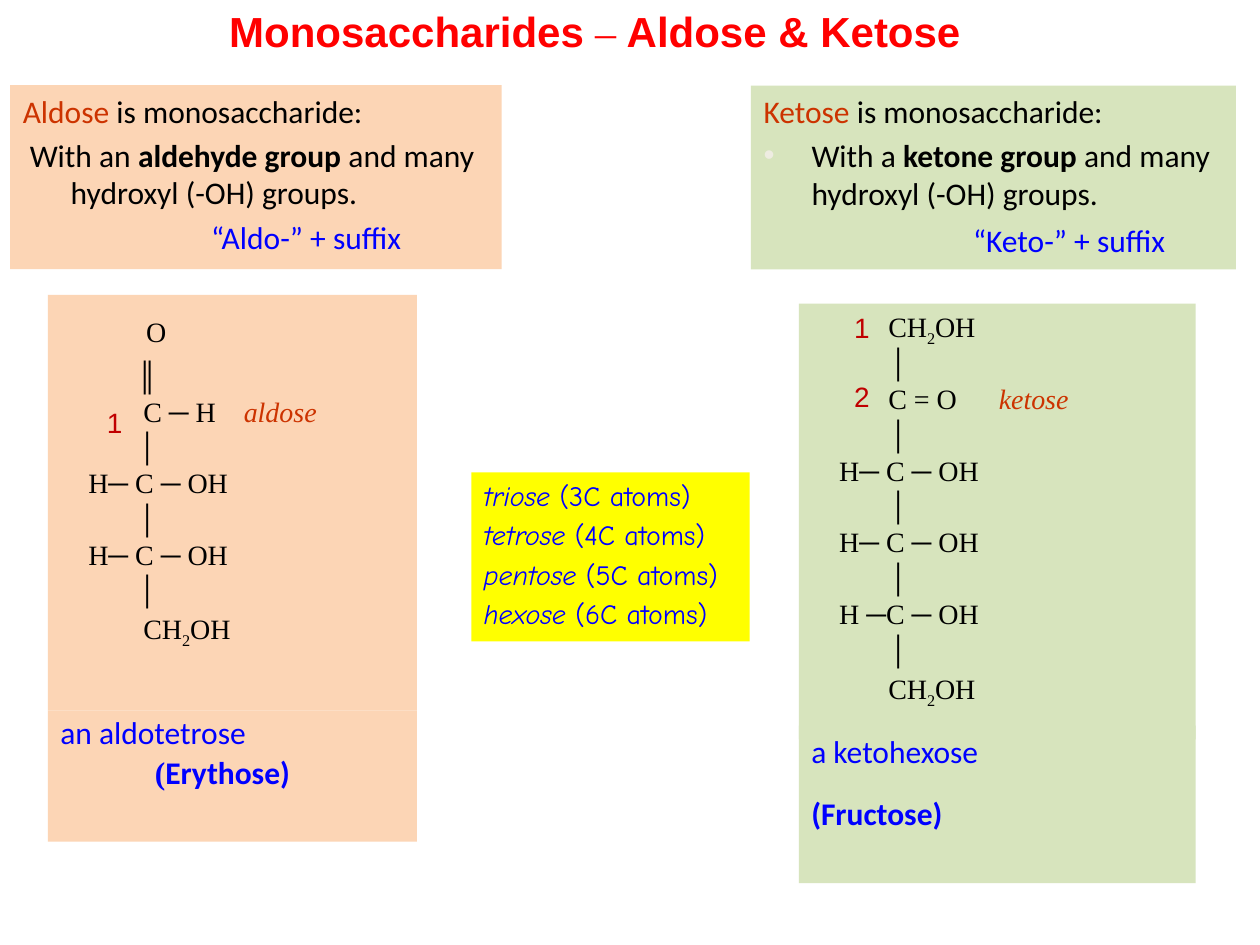
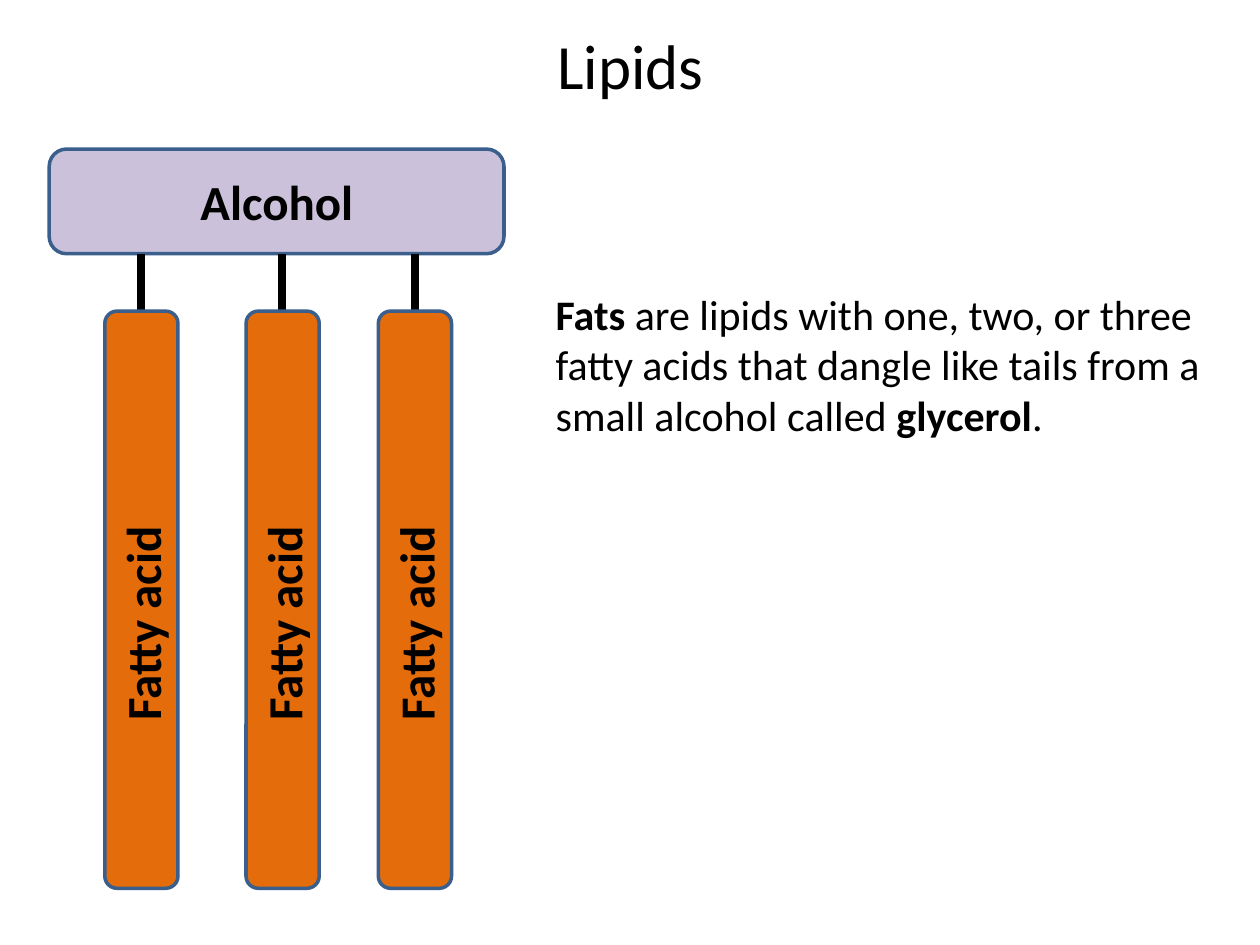
"""Build two biochemistry slides: aldose and ketose sugars, then lipids."""
from lxml.etree import SubElement
from pptx import Presentation
from pptx.dml.color import RGBColor
from pptx.enum.shapes import MSO_CONNECTOR, MSO_SHAPE
from pptx.enum.text import MSO_ANCHOR, MSO_AUTO_SIZE, PP_ALIGN
from pptx.oxml.ns import qn
from pptx.util import Pt

HUES = {
    "ink": "000000", "red": "FF0000", "rust": "CC3300", "dark": "C00000",
    "blue": "0000FF", "peach": "FCD5B5", "green": "D7E4BD", "gold": "FFFF00",
    "lilac": "CCC1DA", "orange": "E46C0A", "edge": "3A5F8C", "pale": "EEECE1",
}
SERIF = "Times New Roman"
STYLES = {
    "head": ("Arial", 24, "red", "b"),
    "dash": (SERIF, 24, "red", ""),
    "term": ("Calibri", 18, "rust", ""),
    "note": ("Calibri", 18, "ink", ""),
    "bold": ("Calibri", 18, "ink", "b"),
    "name": ("Calibri", 18, "blue", ""),
    "strong": ("Calibri", 18, "blue", "b"),
    "paren": (SERIF, 18, "blue", "b"),
    "atom": (SERIF, 16, "ink", ""),
    "sub": (SERIF, 16, "ink", "s"),
    "kind": (SERIF, 16, "rust", "i"),
    "mark": ("Arial", 16, "dark", ""),
    "size": ("Comic Neue", 16, "blue", ""),
    "root": ("Comic Neue", 16, "blue", "i"),
    "top": ("Calibri", 36, "ink", ""),
    "part": ("Calibri", 28, "ink", "b"),
    "text": ("Calibri", 24, "ink", ""),
    "key": ("Calibri", 24, "ink", "b"),
}
GAPS = {"near": 12, "far": 20}
STYLES.update({gap: STYLES["atom"] for gap in GAPS})

SUGAR = [("Monosaccharides ", "head"), ("–", "dash"), (" Aldose & Ketose", "head")]
HANG = {"left": 27.4, "first": -27.4}
ALDOSE = [
    ([("Aldose", "term"), (" is monosaccharide:", "note")], HANG),
    ([("With an ", "note"), ("aldehyde group ", "bold"),
      ("and many hydroxyl (-OH) groups.", "note")],
     {"left": 27.4, "first": -23.4, "before": 3.6}),
    ([("“Aldo-” + suffix", "name")], {"left": 107.7, "before": 3.6}),
]
KETOSE = [
    ([("Ketose", "term"), (" is monosaccharide:", "note")], {**HANG, "after": 1.8}),
    ([("With a ", "note"), ("ketone group ", "bold"),
      ("and many hydroxyl (-OH) groups.", "note")],
     {**HANG, "before": 1.8, "after": 1.8, "bullet": "pale"}),
    ([("“Keto-” + suffix", "name")], {"left": 119.7, "before": 3.6}),
]
BAR = (44, [("│", "atom")])
LINK = (16, [("H─ C ─ OH", "atom")])
TAIL = [("CH", "atom"), ("2", "sub"), ("OH", "atom")]
FOUR = [
    (49, [("O", "atom")]),
    (44, [("║", "atom")]),
    (47.4, [("C ─ H", "atom"), (" ", "near"), ("aldose", "kind")]),
    BAR, LINK, BAR, LINK, BAR, (47.4, TAIL),
]
SIX = [
    (44, TAIL), BAR,
    (44, [("C = O", "atom"), (" ", "far"), ("ketose", "kind")]),
    BAR, LINK, BAR, LINK, BAR, (16, [("H ─C ─ OH", "atom")]), BAR, (44, TAIL),
]
CHAINS = [
    ((27.4, 168.5, 210.9, 237.6), "peach", FOUR, 13.6, 6),
    ((456.5, 173.5, 226.8, 249.1), "green", SIX, 3.6, 1.6),
]
MARKS = [
    ("1", (54, 228.2, 23.8, 25.2), "peach"),
    ("1", (481, 174.2, 25.9, 26.6), "green"),
    ("2", (481, 213.1, 25.9, 26.6), "green"),
]
NAMES = [
    ((27.4, 406.1, 210.9, 74.9), "peach", [
        ([("an aldotetrose", "name")], {"line": 0.9, "after": 1.8}),
        ([("(", "paren"), ("Erythose)", "strong")],
         {"line": 0.9, "left": 54, "before": 1.8})]),
    ((456.5, 414.7, 226.8, 90), "green", [
        ([("a ketohexose", "name")], {}),
        ([("(Fructose)", "strong")], {"before": 13.8})]),
]
COUNTS = [("triose", 3), ("tetrose", 4), ("pentose", 5), ("hexose", 6)]
FATS = [("Fats ", "key"),
        ("are lipids with one, two, or three fatty acids that dangle like tails "
         "from a small alcohol called ", "text"),
        ("glycerol", "key"), (".", "text")]
ACIDS = [80.6, 161.3, 236.9]


def hue(name):
    return RGBColor.from_string(HUES[name])


def style(run, kind):
    face, size, tint, flags = STYLES[kind]
    font = run.font
    font.name, font.size = face, Pt(size)
    font.bold, font.italic = "b" in flags, "i" in flags
    font.color.rgb = hue(tint)
    if "s" in flags:
        font._element.set("baseline", "-25000")
    if kind in GAPS:
        font._element.set("spc", str(GAPS[kind] * 100))


def write(shape, paras, align=PP_ALIGN.LEFT, inset=3.6, wrap=True):
    frame = shape.text_frame
    frame.word_wrap, frame.auto_size = wrap, MSO_AUTO_SIZE.NONE
    frame.vertical_anchor = MSO_ANCHOR.TOP
    frame.margin_left = frame.margin_right = Pt(7.2)
    frame.margin_top, frame.margin_bottom = Pt(inset), Pt(3.6)
    for num, (runs, opts) in enumerate(paras):
        para = frame.add_paragraph() if num else frame.paragraphs[0]
        props = para._p.get_or_add_pPr()
        props.set("marL", str(Pt(opts.get("left", 0))))
        props.set("indent", str(Pt(opts.get("first", 0))))
        if "bullet" in opts:
            tint = SubElement(props, qn("a:buClr"))
            SubElement(tint, qn("a:srgbClr"), val=HUES[opts["bullet"]])
            SubElement(props, qn("a:buChar"), char="•")
        else:
            SubElement(props, qn("a:buNone"))
        para.alignment = align
        para.line_spacing = opts.get("line", 1.0)
        para.space_before = Pt(opts.get("before", 0))
        para.space_after = Pt(opts.get("after", 0))
        for text, kind in runs:
            run = para.add_run()
            run.text = text
            style(run, kind)


def place(shape, rect):
    shape.left, shape.top, shape.width, shape.height = map(Pt, rect)
    return shape


def paint(shape, fill, edge=None):
    shape.fill.solid()
    shape.fill.fore_color.rgb = hue(fill)
    if edge:
        shape.line.color.rgb, shape.line.width = hue(edge), Pt(2)
    else:
        shape.line.fill.background()
    return shape


def block(slide, rect, fill, form=MSO_SHAPE.RECTANGLE, edge=None):
    shape = slide.shapes.add_shape(form, *map(Pt, rect))
    shape.shadow.inherit = False
    return paint(shape, fill, edge)


def label(slide, rect, text, turn=0):
    box = slide.shapes.add_textbox(*map(Pt, rect))
    box.rotation = turn
    write(box, [([(text, "part")], {})], PP_ALIGN.CENTER, wrap=False)


def stem(slide, mid):
    line = slide.shapes.add_connector(
        MSO_CONNECTOR.STRAIGHT, Pt(mid), Pt(145.4), Pt(mid), Pt(177.8))
    line.line.color.rgb, line.line.width = hue("ink"), Pt(4.5)
    SubElement(line._element.spPr, qn("a:effectLst"))


def sugars(deck):
    slide = deck.slides.add_slide(deck.slide_layouts[3])
    title, left, right = slide.placeholders
    write(place(title, (123.8, 0, 474.5, 36)), [(SUGAR, {})], inset=3)
    write(paint(place(left, (5.8, 48.7, 280.8, 105.1)), "peach"), ALDOSE)
    write(paint(place(right, (429.1, 48.9, 277.2, 105.1)), "green"), KETOSE)
    for rect, fill, rows, inset, drop in CHAINS:
        paras = [(runs, {"left": start, "line": 0.9,
                         "before": 1.6 if num else 0,
                         "after": 1.6 if num else drop})
                 for num, (start, runs) in enumerate(rows)]
        write(block(slide, rect, fill), paras, inset=inset)
    for text, rect, fill in MARKS:
        write(block(slide, rect, fill), [([(text, "mark")], {})])
    for rect, fill, paras in NAMES:
        write(block(slide, rect, fill), paras)
    sizes = [([(name, "root"), (f" ({count}C atoms)", "size")],
              {"before": 3.2 if num else 0})
             for num, (name, count) in enumerate(COUNTS)]
    write(block(slide, (269.3, 270, 159.1, 96.5), "gold"), sizes)


def lipids(deck):
    slide = deck.slides.add_slide(deck.slide_layouts[1])
    title, body = slide.placeholders
    write(place(title, (0.7, 11.5, 719.3, 51.1)),
          [([("Lipids", "top")], {})], PP_ALIGN.CENTER)
    write(place(body, (310.3, 161.3, 390.2, 94.3)), [(FATS, {})])
    form = MSO_SHAPE.ROUNDED_RECTANGLE
    block(slide, (28.1, 85.2, 259.9, 59.8), "lilac", form, "edge")
    label(slide, (106.7, 94.5, 103, 41), "Alcohol")
    for mid in ACIDS:
        stem(slide, mid)
        block(slide, (mid - 20.7, 177.8, 41.8, 329.8), "orange", form, "edge")
        label(slide, (mid - 63.2, 335.8, 127.4, 41), "Fatty acid", 270)


def main():
    deck = Presentation()
    deck.slide_width, deck.slide_height = Pt(720), Pt(540)
    sugars(deck)
    lipids(deck)
    deck.save("out.pptx")


if __name__ == "__main__":
    main()
